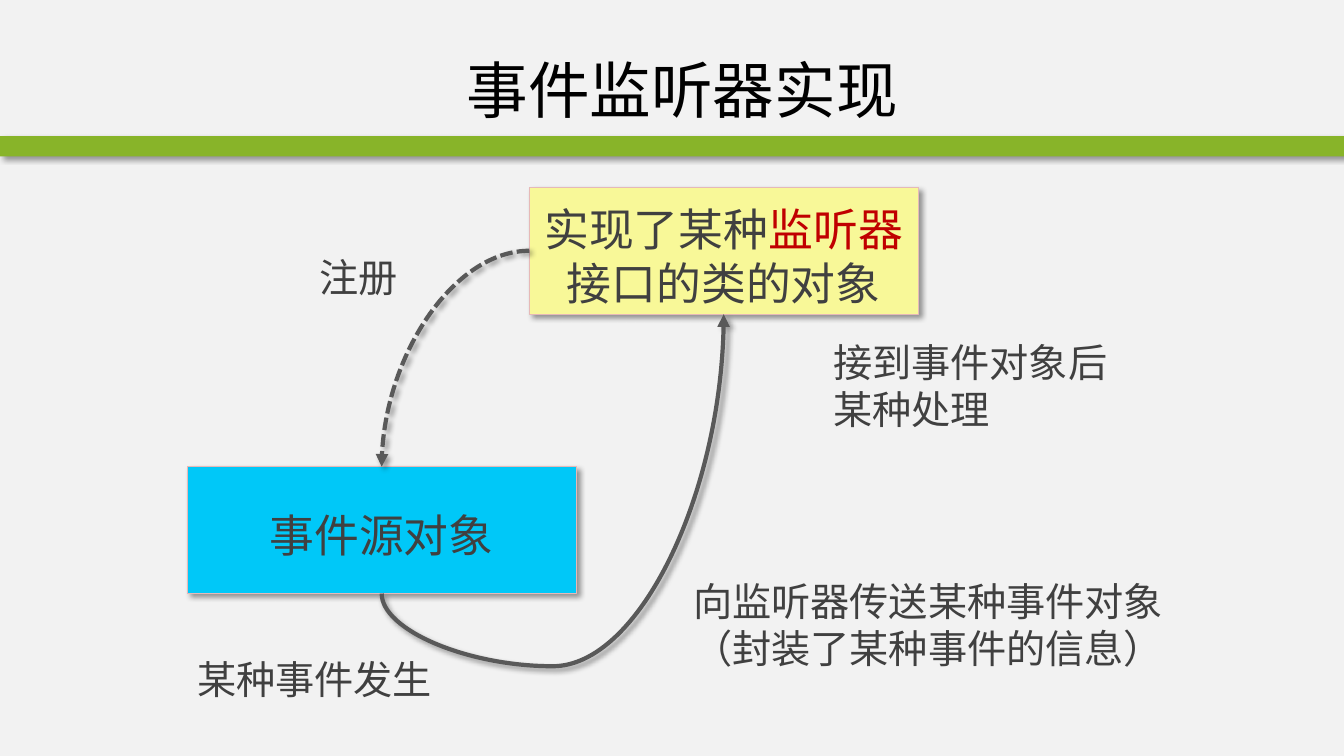
"""Builds a slide showing how an event listener works."""
from pptx import Presentation
from pptx.dml.color import RGBColor
from pptx.enum.dml import MSO_LINE
from pptx.enum.shapes import MSO_CONNECTOR, MSO_SHAPE
from pptx.enum.text import MSO_ANCHOR, MSO_AUTO_SIZE, PP_ALIGN
from pptx.oxml import parse_xml
from pptx.oxml.ns import nsdecls, qn
from pptx.util import Cm, Pt

RECTANGLE = MSO_SHAPE.RECTANGLE
CURVE = MSO_CONNECTOR.CURVE
SHORT_DASH = MSO_LINE.SQUARE_DOT
MIDDLE, TOP = MSO_ANCHOR.MIDDLE, MSO_ANCHOR.TOP
CENTER, LEFT = PP_ALIGN.CENTER, PP_ALIGN.LEFT
GROW = MSO_AUTO_SIZE.SHAPE_TO_FIT_TEXT

BACKGROUND = RGBColor(0xF2, 0xF2, 0xF2)
GREEN = RGBColor(0x88, 0xB4, 0x29)
YELLOW = RGBColor(0xF8, 0xF8, 0x98)
BLUE = RGBColor(0x00, 0xC8, 0xF8)
PINK = RGBColor(0xE6, 0xB9, 0xB8)
RED = RGBColor(0xC0, 0x00, 0x00)
BLACK = RGBColor(0x00, 0x00, 0x00)
DARK = RGBColor(0x40, 0x40, 0x40)
GRAY = RGBColor(0x59, 0x59, 0x59)

FONT = "Noto Sans CJK SC"
TITLE_SIZE, BOX_SIZE, NOTE_SIZE = 44, 32, 28
LINE_HEIGHT = 1.2
BASELINE_SHIFT = 0.1
INSET = Cm(0.16)

SLIDE_WIDTH, SLIDE_HEIGHT = Cm(33.87), Cm(19.05)
BOX_WIDTH, BOX_HEIGHT = Cm(9.8), Cm(3.2)
CURVE_BEND = -26000


def add_shadow(properties):
    """Give shape properties a soft shadow to the lower right."""
    effects = properties.find(qn("a:effectLst"))
    if effects is None:
        effects = parse_xml(f"<a:effectLst {nsdecls('a')}/>")
        properties.append(effects)
    effects.append(parse_xml(
        f'<a:outerShdw {nsdecls("a")} blurRad="{Pt(4)}" dist="{Pt(3)}" '
        'dir="2700000" algn="tl" rotWithShape="0">'
        '<a:srgbClr val="000000"><a:alpha val="40000"/></a:srgbClr></a:outerShdw>'))


def write_text(shape, paragraphs, size, anchor, alignment):
    """Fill a shape with paragraphs, each a list of (text, colour) runs."""
    frame = shape.text_frame
    frame.word_wrap = True
    frame.vertical_anchor = anchor
    shift = Pt(size * BASELINE_SHIFT)
    frame.margin_top, frame.margin_bottom = INSET + shift, INSET - shift
    for index, runs in enumerate(paragraphs):
        paragraph = frame.add_paragraph() if index else frame.paragraphs[0]
        paragraph.alignment = alignment
        paragraph.line_spacing = Pt(size * LINE_HEIGHT)
        for text, color in runs:
            run = paragraph.add_run()
            run.text = text
            run.font.size = Pt(size)
            run.font.name = FONT
            run.font.color.rgb = color
            run.font._element.append(
                parse_xml(f'<a:ea {nsdecls("a")} typeface="{FONT}"/>'))


def add_rectangle(slide, left, top, width, height, fill, outline=None):
    """Draw a filled rectangle with a shadow."""
    shape = slide.shapes.add_shape(RECTANGLE, left, top, width, height)
    shape.fill.solid()
    shape.fill.fore_color.rgb = fill
    if outline is None:
        shape.line.fill.background()
    else:
        shape.line.color.rgb = outline
        shape.line.width = Pt(0.75)
    shape.shadow.inherit = False
    add_shadow(shape._element.spPr)
    return shape


def add_box(slide, left, top, fill, runs):
    """Draw an object box with centred text."""
    box = add_rectangle(slide, left, top, BOX_WIDTH, BOX_HEIGHT, fill, PINK)
    write_text(box, [runs], BOX_SIZE, MIDDLE, CENTER)
    return box


def add_title(slide, text):
    """Place the slide title."""
    title = slide.shapes.add_textbox(Cm(3.53), Cm(0.76), Cm(27.33), Cm(2.67))
    write_text(title, [[(text, BLACK)]], TITLE_SIZE, MIDDLE, CENTER)


def add_note(slide, left, top, width, height, *lines):
    """Place a left-aligned note."""
    note = slide.shapes.add_textbox(left, top, width, height)
    write_text(note, [[(line, DARK)] for line in lines], NOTE_SIZE, TOP, LEFT)
    note.text_frame.auto_size = GROW


def add_curve(slide, begin, end, dash=None):
    """Draw a curved arrow between two points."""
    curve = slide.shapes.add_connector(CURVE, *begin, *end)
    curve.line.color.rgb = GRAY
    curve.line.width = Pt(3)
    if dash is not None:
        curve.line.dash_style = dash
    properties = curve._element.spPr
    properties.find(qn("a:ln")).append(
        parse_xml(f'<a:tailEnd {nsdecls("a")} type="triangle"/>'))
    add_shadow(properties)
    return properties


def add_register_arrow(slide, listener, source):
    """Curve from the listener's left side to the top of the source."""
    properties = add_curve(
        slide,
        (listener.left, listener.top + BOX_HEIGHT // 2),
        (source.left + BOX_WIDTH // 2, source.top),
        SHORT_DASH)
    properties.find(qn("a:prstGeom")).set("prst", "curvedConnector2")


def add_event_arrow(slide, listener, source):
    """Curve from below the source up to the bottom of the listener."""
    start_x, start_y = source.left + BOX_WIDTH // 2, source.top + BOX_HEIGHT
    end_x, end_y = listener.left + BOX_WIDTH // 2, listener.top + BOX_HEIGHT
    center_x, center_y = (start_x + end_x) // 2, (start_y + end_y) // 2
    half_width, half_height = (start_y - end_y) // 2, (end_x - start_x) // 2
    properties = add_curve(
        slide,
        (center_x + half_width, center_y + half_height),
        (center_x - half_width, center_y - half_height))
    properties.find(qn("a:xfrm")).set("rot", "5400000")
    geometry = properties.find(qn("a:prstGeom"))
    for child in list(geometry):
        geometry.remove(child)
    geometry.append(parse_xml(
        f'<a:avLst {nsdecls("a")}><a:gd name="adj1" fmla="val {CURVE_BEND}"/></a:avLst>'))


def main():
    """Build the slide and save it."""
    presentation = Presentation()
    presentation.slide_width, presentation.slide_height = SLIDE_WIDTH, SLIDE_HEIGHT
    slide = presentation.slides.add_slide(presentation.slide_layouts[6])
    slide.background.fill.solid()
    slide.background.fill.fore_color.rgb = BACKGROUND

    add_rectangle(slide, 0, Cm(3.43), SLIDE_WIDTH, Cm(0.51), GREEN)
    add_title(slide, "事件监听器实现")
    listener = add_box(slide, Cm(13.34), Cm(4.72), YELLOW, [
        ("实现了某种", DARK), ("监听器", RED), ("接口的类的对象", DARK)])
    source = add_box(slide, Cm(4.72), Cm(11.76), BLUE, [("事件源对象", DARK)])
    add_register_arrow(slide, listener, source)
    add_event_arrow(slide, listener, source)

    add_note(slide, Cm(7.8), Cm(6.12), Cm(2.51), Cm(1.45), "注册")
    add_note(slide, Cm(20.75), Cm(8.26), Cm(8.1), Cm(2.64), "接到事件对象后某种处理")
    add_note(slide, Cm(17.22), Cm(14.3), Cm(13.92), Cm(2.64),
             "向监听器传送某种事件对象", "（封装了某种事件的信息）")
    add_note(slide, Cm(4.72), Cm(16.26), Cm(7.01), Cm(1.45), "某种事件发生")
    presentation.save("out.pptx")


if __name__ == "__main__":
    main()
